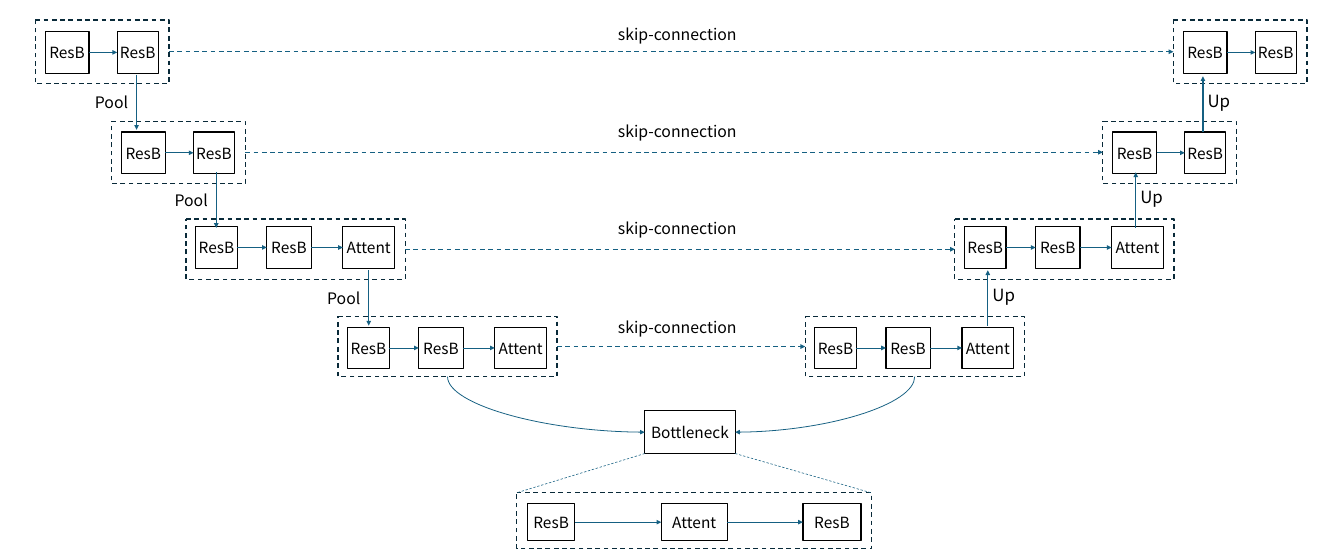
from lxml.etree import SubElement
from pptx import Presentation
from pptx.dml.color import RGBColor
from pptx.enum.dml import MSO_LINE as Dash
from pptx.enum.shapes import MSO_CONNECTOR as Link, MSO_SHAPE as Form
from pptx.enum.text import MSO_ANCHOR as Anchor, PP_ALIGN as Align
from pptx.oxml.ns import qn
from pptx.util import Pt

FONT = "Noto Sans CJK SC"
INK = {"box": "000000", "frame": "092A39", "arrow": "156082"}
TOP, LEFT, BOTTOM, RIGHT = 0, 1, 2, 3

# Blocks: text, offset from the frame's left, width
PAIR = [("ResB", 12.6, 55.4), ("ResB", 103.7, 51.8)]
TRIO = [("ResB", 12.2, 52.6), ("ResB", 102.2, 56.2), ("Attent", 198.4, 65.5)]
CORE = [("ResB", 13.7, 59.8), ("Attent", 182.9, 83.5), ("ResB", 362.2, 73.4)]

# Levels: encoder left, decoder left, top, width, height, block inset, label top, blocks
LEVELS = [
    (44.6, 1484.6, 25.2, 169.2, 80.6, 14.8, 28.1, PAIR),
    (141.1, 1395.4, 153.4, 169.2, 78.5, 13.7, 149.8, PAIR),
    (235.4, 1208.2, 277.2, 277.2, 76.3, 9.6, 273.6, TRIO),
    (427.7, 1018.8, 400.3, 277.2, 76.3, 13.6, 398.9, TRIO),
]
SKIP = "skip-connection"
NECK = (815.8, 519.8, 114.5, 54)
DETAIL = (653.8, 623.5, 448.6, 70.6)

# Steps between levels: x, upper y
STEP = 70
POOLS = [(172.8, 94.3), (273.6, 218.2), (466.6, 342)]
UPS = [(1522.1, 96.5), (1437.1, 218.2), (1249.9, 342)]

deck = Presentation()
deck.slide_width, deck.slide_height = Pt(1700.6), Pt(708.5)
slide = deck.slides.add_slide(deck.slide_layouts[6])
shapes = slide.shapes


def write(frame, text, size, align=None):
    frame.word_wrap = False
    para = frame.paragraphs[0]
    para.text = text
    para.alignment = align
    para.font.name, para.font.size = FONT, Pt(size)
    para.font.color.rgb = RGBColor.from_string(INK["box"])


def label(text, x, y, w, h, size=20):
    write(shapes.add_textbox(Pt(x), Pt(y), Pt(w), Pt(h)).text_frame, text, size)


def box(x, y, w, h, text="", ink="box"):
    """Draw an unfilled box, dashed if it is a frame."""
    shape = shapes.add_shape(Form.ROUNDED_RECTANGLE, Pt(x), Pt(y), Pt(w), Pt(h))
    shape.adjustments[0] = 0
    shape.shadow.inherit = False
    shape.fill.background()
    shape.line.color.rgb = RGBColor.from_string(INK[ink])
    shape.line.width = Pt(1.5)
    if ink == "frame":
        shape.line.dash_style = Dash.DASH
    if text:
        frame = shape.text_frame
        frame.margin_left = frame.margin_right = 0
        frame.margin_top = frame.margin_bottom = 0
        frame.vertical_anchor = Anchor.MIDDLE
        write(frame, text, 19.5, Align.CENTER)
    return shape


def line(x1=0, y1=0, x2=0, y2=0, width=1.5, dash=False, head=True, kind=Link.STRAIGHT):
    link = shapes.add_connector(kind, Pt(x1), Pt(y1), Pt(x2), Pt(y2))
    link.line.color.rgb = RGBColor.from_string(INK["arrow"])
    link.line.width = Pt(width)
    if dash:
        link.line.dash_style = Dash.DASH
    props = link._element.spPr
    if head:
        SubElement(props.find(qn("a:ln")), qn("a:tailEnd"), type="triangle")
    SubElement(props, qn("a:effectLst"))
    return link


def join(a, b, **look):
    """Draw an arrow from the right side of a to the left side of b."""
    link = line(**look)
    link.begin_connect(a, RIGHT)
    link.end_connect(b, LEFT)


def stage(x, y, w, h, inset, tall, blocks, width):
    """Draw a frame with its row of blocks and the arrows between them."""
    frame = box(x, y, w, h, ink="frame")
    row = [box(x + dx, y + inset, bw, tall, text) for text, dx, bw in blocks]
    for a, b in zip(row, row[1:]):
        join(a, b, width=width)
    return frame


def bend(frame, neck, side):
    """Draw a curve that leaves the frame downwards and enters the neck sideways."""
    link = line(width=1, kind=Link.CURVE)
    link.begin_connect(frame, BOTTOM)
    link.end_connect(neck, side)
    x, y, w, h = link.left, link.top, link.width, link.height
    link.left, link.top = x + (w - h) // 2, y + (h - w) // 2
    link.width, link.height = h, w
    props = link._element.spPr
    props.find(qn("a:prstGeom")).set("prst", "curvedConnector2")
    turn = props.find(qn("a:xfrm"))
    turn.set("rot", str((270 if side == LEFT else 90) * 60000))
    turn.set("flipH", "1" if side == LEFT else "0")
    turn.set("flipV", "0")


for left, right, y, w, h, inset, top, blocks in LEVELS:
    enc, dec = [stage(x, y, w, h, inset, 52.6, blocks, 1) for x in (left, right)]
    join(enc, dec, dash=True)
    label(SKIP, 774.7, top, 172.1, 31.7)

for x, y in POOLS:
    line(x, y, x, y + STEP)
    label("Pool", x - 59.8, y + 19.6, 59.8, 31.7)
for x, y in UPS:
    line(x, y + STEP, x, y)
    label("Up", x - 1.2, y + 14.6, 45.4, 33.1, 21.3)

neck = box(*NECK, "Bottleneck")
bend(enc, neck, LEFT)
bend(dec, neck, RIGHT)

stage(*DETAIL, 13.7, 46.8, CORE, 1.5)
nx, ny, nw, nh = NECK
dx, dy, dw, dh = DETAIL
for x1, x2 in ((nx, dx), (nx + nw, dx + dw)):
    line(x1, ny + nh, x2, dy, width=0.75, dash=True, head=False)

deck.save("out.pptx")
